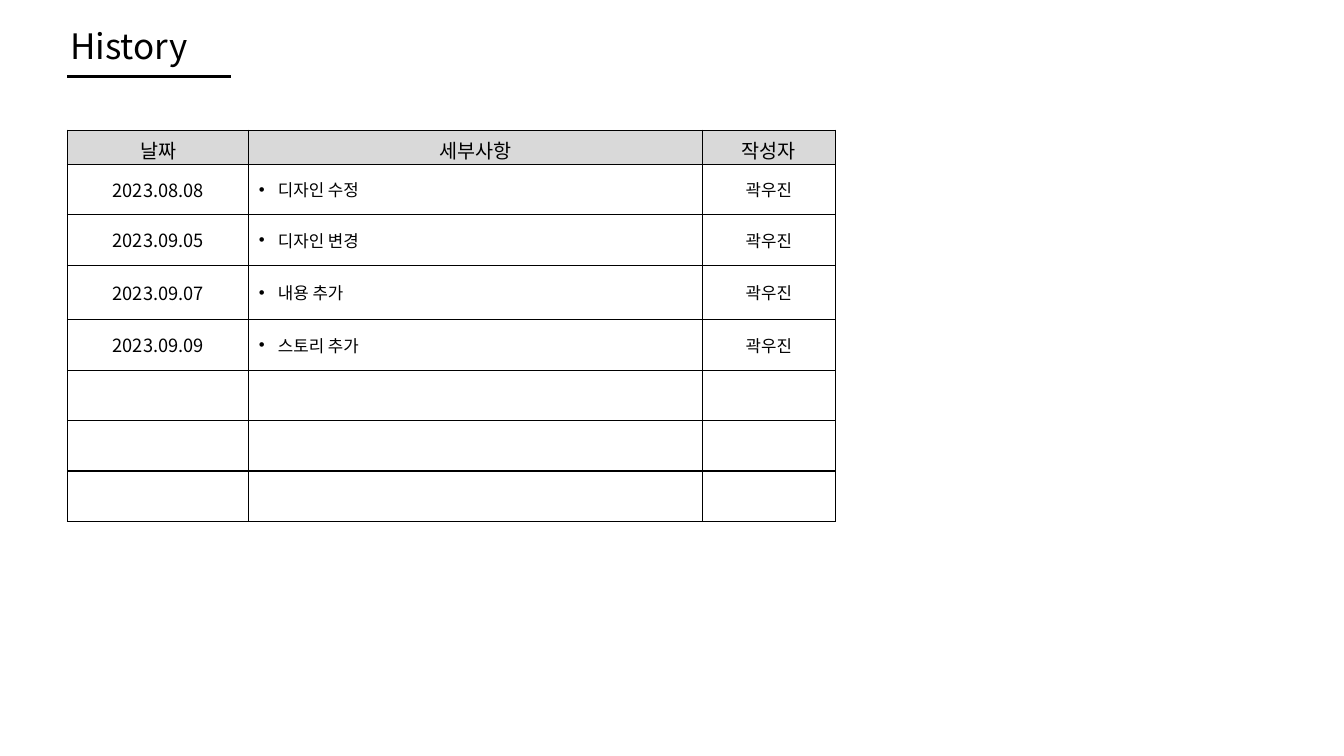
import pptx
import pptx.dml.color
import pptx.enum.shapes
import pptx.enum.text
import pptx.oxml
import pptx.oxml.ns
import pptx.util
from lxml import etree

Cm, Pt = pptx.util.Cm, pptx.util.Pt
qn = pptx.oxml.ns.qn
ALIGN = pptx.enum.text.PP_ALIGN
ANCHOR = pptx.enum.text.MSO_ANCHOR

TITLE = "History"
HEADERS = ["날짜", "세부사항", "작성자"]
ENTRIES = [
    ("2023.08.08", "디자인 수정", "곽우진"),
    ("2023.09.05", "디자인 변경", "곽우진"),
    ("2023.09.07", "내용 추가", "곽우진"),
    ("2023.09.09", "스토리 추가", "곽우진"),
]
EMPTY_ROWS = 3

FONT = "Noto Sans CJK KR"
BLACK = pptx.dml.color.RGBColor(0x00, 0x00, 0x00)
HEADER_GRAY = pptx.dml.color.RGBColor(0xD9, 0xD9, 0xD9)

LEFT, TABLE_TOP = 1.7, 3.28
COLUMN_WIDTHS = [4.57, 11.43, 3.35]
HEADER_HEIGHT, ROW_HEIGHT, TALL_HEIGHT = 0.86, 1.27, 1.38
TALL_ROW = 3
ENTRY_SIZES = [13, 12, 12]
DETAIL_COLUMN = 1
BULLET_INDENT = Cm(0.48)


def set_text(paragraph, text, size, align=ALIGN.LEFT):
    paragraph.text = text
    paragraph.alignment = align
    font = paragraph.font
    font.name, font.size = FONT, Pt(size)
    font.color.rgb = BLACK
    defaults = paragraph._p.pPr.find(qn("a:defRPr"))
    etree.SubElement(defaults, qn("a:ea"), typeface=FONT)


def add_bullet(paragraph):
    properties = paragraph._p.pPr
    properties.set("marL", str(BULLET_INDENT))
    properties.set("indent", str(-BULLET_INDENT))
    bullet_font = etree.Element(qn("a:buFont"), typeface="Arial")
    bullet = etree.Element(qn("a:buChar"), char="•")
    properties.insert(0, bullet_font)
    properties.insert(1, bullet)


def add_borders(cell):
    properties = cell._tc.get_or_add_tcPr()
    for index, side in enumerate(("lnL", "lnR", "lnT", "lnB")):
        line = etree.Element(qn("a:" + side), w=str(Pt(1)))
        fill = etree.SubElement(line, qn("a:solidFill"))
        etree.SubElement(fill, qn("a:srgbClr"), val=str(BLACK))
        properties.insert(index, line)


def add_title(slide):
    box = slide.shapes.add_textbox(Cm(1.52), Cm(0.61), Cm(11.76), Cm(1.32))
    frame = box.text_frame
    frame.word_wrap = True
    frame.margin_top = frame.margin_bottom = 0
    set_text(frame.paragraphs[0], TITLE, 25)
    underline = slide.shapes.add_connector(
        pptx.enum.shapes.MSO_CONNECTOR.STRAIGHT,
        Cm(LEFT), Cm(1.93), Cm(5.82), Cm(1.93))
    underline.line.color.rgb = BLACK
    underline.line.width = Pt(1.75)
    etree.SubElement(underline._element.spPr, qn("a:effectLst"))


def add_history(slide):
    rows = [HEADERS, *ENTRIES] + [("", "", "")] * EMPTY_ROWS
    heights = [HEADER_HEIGHT] + [ROW_HEIGHT] * (len(rows) - 1)
    heights[TALL_ROW] = TALL_HEIGHT
    table = slide.shapes.add_table(
        len(rows), len(HEADERS), Cm(LEFT), Cm(TABLE_TOP),
        Cm(sum(COLUMN_WIDTHS)), Cm(sum(heights))).table
    table.first_row = table.horz_banding = False
    for column, width in zip(table.columns, COLUMN_WIDTHS):
        column.width = Cm(width)
    for row_index, texts in enumerate(rows):
        table.rows[row_index].height = Cm(heights[row_index])
        for column_index, text in enumerate(texts):
            cell = table.cell(row_index, column_index)
            paragraph = cell.text_frame.paragraphs[0]
            if row_index == 0:
                cell.fill.solid()
                cell.fill.fore_color.rgb = HEADER_GRAY
                cell.margin_bottom = 0
                set_text(paragraph, text, 14, ALIGN.CENTER)
            else:
                cell.fill.background()
                cell.vertical_anchor = ANCHOR.MIDDLE
                is_detail = column_index == DETAIL_COLUMN
                set_text(paragraph, text, ENTRY_SIZES[column_index],
                         ALIGN.LEFT if is_detail else ALIGN.CENTER)
                if is_detail and text:
                    add_bullet(paragraph)
            add_borders(cell)


def main():
    presentation = pptx.Presentation()
    presentation.slide_width, presentation.slide_height = Cm(33.87), Cm(19.05)
    slide = presentation.slides.add_slide(presentation.slide_layouts[6])
    add_title(slide)
    add_history(slide)
    presentation.save("out.pptx")


if __name__ == "__main__":
    main()
